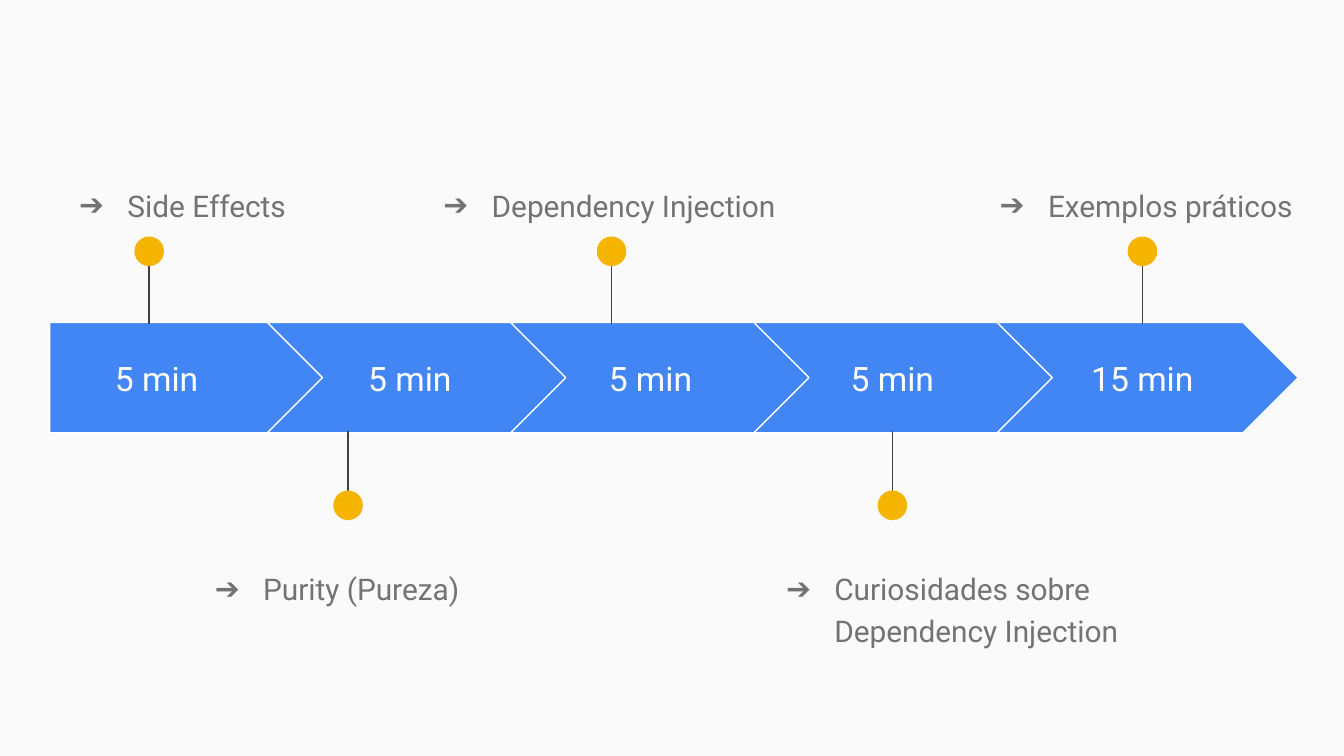
from lxml import etree
from pptx import Presentation
from pptx.dml.color import RGBColor
from pptx.enum.shapes import MSO_CONNECTOR, MSO_SHAPE
from pptx.enum.text import MSO_ANCHOR, PP_ALIGN
from pptx.oxml.ns import qn
from pptx.util import Inches, Pt

PENTAGON = MSO_SHAPE.PENTAGON
CHEVRON = MSO_SHAPE.CHEVRON
OVAL = MSO_SHAPE.OVAL
STRAIGHT = MSO_CONNECTOR.STRAIGHT
TOP, MIDDLE, BOTTOM = MSO_ANCHOR.TOP, MSO_ANCHOR.MIDDLE, MSO_ANCHOR.BOTTOM
CENTER = PP_ALIGN.CENTER

FONT = "Roboto"
BACKGROUND, WHITE = "FAFAFA", "FFFFFF"
BLUE, YELLOW = "4285F4", "F4B400"
GRAY, DARK = "737373", "424242"

BAR_TOP, BAR_HEIGHT = 2.4, 0.82
FIRST_CHEVRON, CHEVRON_STEP, CHEVRON_WIDTH = 1.99, 1.81, 2.24
DOT_SIZE = 0.22

STEPS = [
    ("5 min", (0.37, 1.59), 1.11, True, "Side Effects", (0.35, 0.77, 2.45, 0.99)),
    ("5 min", (2.33, 1.44), 2.59, False, "Purity (Pureza)", (1.36, 4.11, 2.45, 0.99)),
    ("5 min", (4.12, 1.44), 4.55, True, "Dependency Injection", (3.06, 0.94, 2.98, 0.82)),
    ("5 min", (5.92, 1.44), 6.64, False, "Curiosidades sobre Dependency Injection",
     (5.61, 4.11, 2.82, 0.99)),
    ("15 min", (7.78, 1.44), 8.5, True, "Exemplos práticos", (7.2, 0.77, 2.56, 0.99)),
]


def color(value):
    return RGBColor.from_string(value)


def add_arrow(slide, index):
    if index == 0:
        kind, left, width = PENTAGON, 0.37, 2.05
    else:
        kind, width = CHEVRON, CHEVRON_WIDTH
        left = FIRST_CHEVRON + (index - 1) * CHEVRON_STEP
    shape = slide.shapes.add_shape(
        kind, Inches(left), Inches(BAR_TOP), Inches(width), Inches(BAR_HEIGHT))
    shape.shadow.inherit = False
    shape.adjustments[0] = 0.5
    shape.fill.solid()
    shape.fill.fore_color.rgb = color(BLUE)
    shape.line.color.rgb = color(WHITE)
    shape.line.width = Pt(0.75)


def add_text(slide, box, text, size, text_color, anchor):
    shape = slide.shapes.add_textbox(*map(Inches, box))
    frame = shape.text_frame
    frame.word_wrap = True
    frame.vertical_anchor = anchor
    frame.margin_left = frame.margin_right = Inches(0.1)
    frame.margin_top = frame.margin_bottom = Inches(0.1)
    paragraph = frame.paragraphs[0]
    run = paragraph.add_run()
    run.text = text
    run.font.name = FONT
    run.font.size = Pt(size)
    run.font.color.rgb = color(text_color)
    return paragraph


def add_duration(slide, left, width, text):
    paragraph = add_text(slide, (left, 2.56, width, 0.51), text, 18, WHITE, MIDDLE)
    paragraph.alignment = CENTER


def add_topic(slide, box, text, above):
    paragraph = add_text(slide, box, text, 16, GRAY, BOTTOM if above else TOP)
    paragraph.line_spacing = 1.15
    properties = paragraph._p.get_or_add_pPr()
    properties.set("marL", str(Inches(0.5)))
    properties.set("indent", str(Inches(-0.36)))
    bullet_color = etree.SubElement(properties, qn("a:buClr"))
    etree.SubElement(bullet_color, qn("a:srgbClr"), val=GRAY)
    etree.SubElement(properties, qn("a:buFont"), typeface=FONT)
    etree.SubElement(properties, qn("a:buChar"), char="➔")


def add_marker(slide, x, above):
    start, end, dot_top = (1.8, 2.41, 1.76) if above else (3.82, 3.21, 3.65)
    group = slide.shapes.add_group_shape()
    line = group.shapes.add_connector(
        STRAIGHT, Inches(x), Inches(start), Inches(x), Inches(end))
    line.line.color.rgb = color(DARK)
    line.line.width = Pt(0.75)
    etree.SubElement(line._element.spPr, qn("a:effectLst"))
    dot = group.shapes.add_shape(
        OVAL, Inches(x - DOT_SIZE / 2), Inches(dot_top), Inches(DOT_SIZE), Inches(DOT_SIZE))
    dot.shadow.inherit = False
    dot.fill.solid()
    dot.fill.fore_color.rgb = color(YELLOW)
    dot.line.fill.background()


def main():
    presentation = Presentation()
    presentation.slide_width = Inches(10)
    presentation.slide_height = Inches(10) * 9 // 16
    slide = presentation.slides.add_slide(presentation.slide_layouts[6])
    slide.background.fill.solid()
    slide.background.fill.fore_color.rgb = color(BACKGROUND)
    for index, (duration, span, x, above, topic, box) in enumerate(STEPS):
        add_arrow(slide, index)
        add_duration(slide, *span, duration)
        add_marker(slide, x, above)
        add_topic(slide, box, topic, above)
    presentation.save("out.pptx")


if __name__ == "__main__":
    main()
